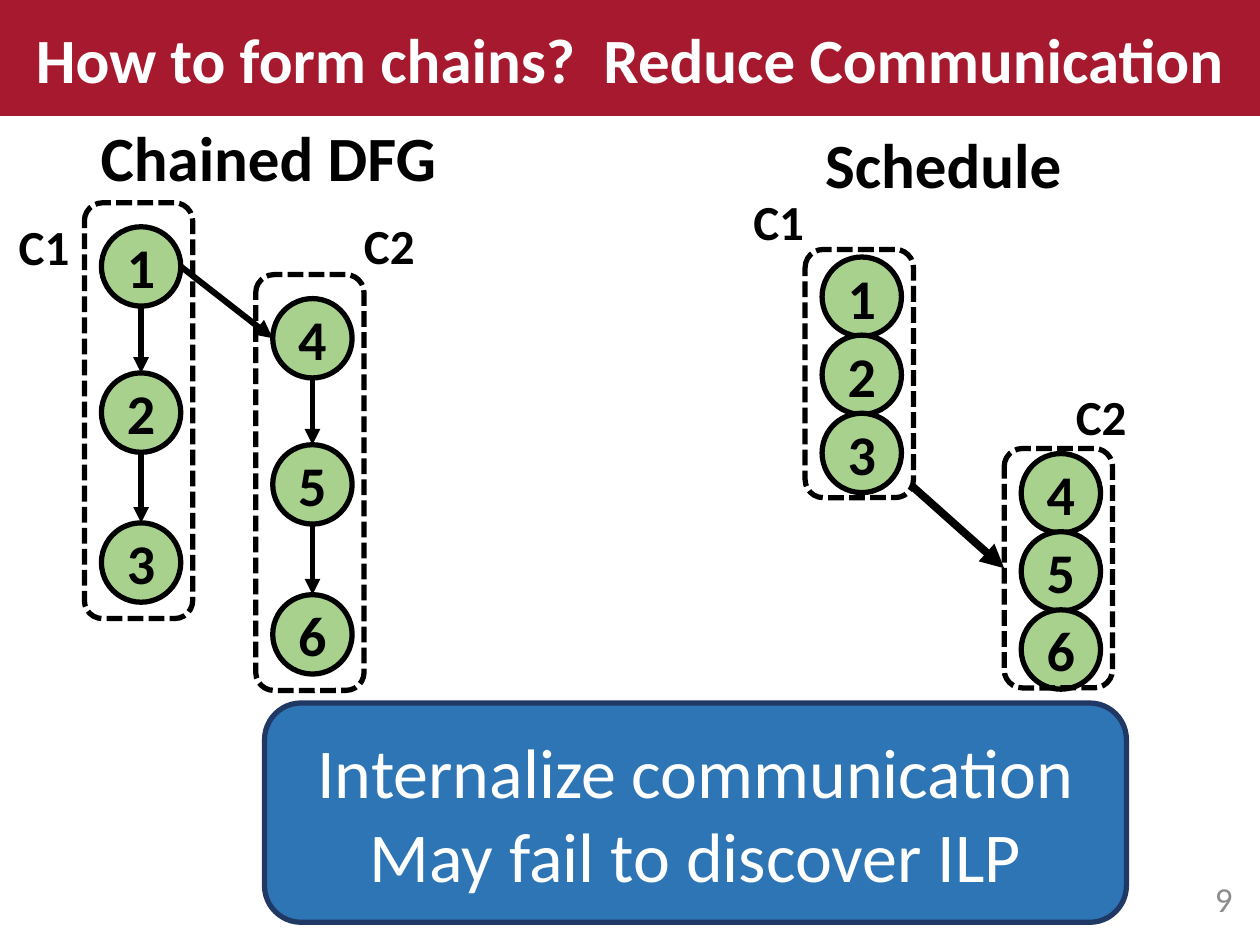
from pptx import Presentation
from pptx.dml.color import RGBColor
from pptx.enum.dml import MSO_LINE
from pptx.enum.shapes import MSO_CONNECTOR, MSO_SHAPE
from pptx.enum.text import MSO_ANCHOR, PP_ALIGN
from pptx.oxml.ns import qn
from pptx.util import Inches, Pt
from lxml import etree

RECT, ROUND, OVAL = MSO_SHAPE.RECTANGLE, MSO_SHAPE.ROUNDED_RECTANGLE, MSO_SHAPE.OVAL
LEFT, MID, RIGHT = PP_ALIGN.LEFT, PP_ALIGN.CENTER, PP_ALIGN.RIGHT
TOP, CENTER = MSO_ANCHOR.TOP, MSO_ANCHOR.MIDDLE
DASH = MSO_LINE.SQUARE_DOT
STRAIGHT = MSO_CONNECTOR.STRAIGHT

THEME = {
    "font": "Calibri", "red": "A6192E", "green": "A9D18E", "blue": "2E75B6",
    "navy": "203864", "black": "000000", "white": "FFFFFF", "gray": "8C8C8C",
    "head": 36, "note": 40, "node": 32, "chain": 28, "page": 20,
}

# Content
TITLE = "How to form chains?  Reduce Communication"
NOTE = ["Internalize communication", "May fail to discover ILP"]
PAGE = "9"
# text, box, size
LABELS = [
    ("Chained DFG", (0.7, 0.89, 2.89, 0.71), "head"),
    ("Schedule", (6.45, 0.95, 2.1, 0.71), "head"),
    ("C1", (0.05, 1.67, 0.61, 0.57), "chain"),
    ("C2", (2.79, 1.66, 0.61, 0.57), "chain"),
    ("C1", (5.88, 1.47, 0.61, 0.57), "chain"),
    ("C2", (8.44, 3.02, 0.71, 0.57), "chain"),
]
# Node steps down a chain: spread out in the graph, packed in the schedule
SPREAD, PACKED = (0, 1.16, 2.35), (0, 0.62, 1.24)
# names, frame box, top of first node, steps, arrows between nodes
CHAINS = [
    ("123", (0.67, 1.61, 0.86, 3.3), 1.8, SPREAD, True),
    ("456", (2.03, 2.18, 0.86, 3.3), 2.37, SPREAD, True),
    ("123", (6.39, 1.98, 0.86, 1.97), 2.04, PACKED, False),
    ("456", (7.97, 3.56, 0.86, 1.9), 3.6, PACKED, False),
]
NODE = 0.63

deck = Presentation()
deck.slide_width, deck.slide_height = Inches(10), Inches(7.5)
slide = deck.slides.add_slide(deck.slide_layouts[6])
shapes = slide.shapes


def color(name):
    return RGBColor.from_string(THEME[name])


def write(shape, lines, size, ink="black", bold=True, align=MID, anchor=CENTER):
    frame = shape.text_frame
    frame.vertical_anchor = anchor
    frame.text = "\n".join(lines)
    for para in frame.paragraphs:
        para.alignment = align
        font = para.font
        font.name, font.size, font.bold = THEME["font"], Pt(THEME[size]), bold
        font.color.rgb = color(ink)
    return frame


def draw(kind, box, fill=None, edge=None, dash=None):
    shape = shapes.add_shape(kind, *map(Inches, box))
    shape.shadow.inherit = False
    if fill:
        shape.fill.solid()
        shape.fill.fore_color.rgb = color(fill)
    else:
        shape.fill.background()
    if edge:
        shape.line.color.rgb = color(edge)
        shape.line.width = Pt(3)
        shape.line.dash_style = dash
    else:
        shape.line.fill.background()
    return shape


def label(text, box, size, wrap=False, **style):
    shape = shapes.add_textbox(*map(Inches, box))
    write(shape, [text], size, **style).word_wrap = wrap


def arrow(start, end, width=3):
    line = shapes.add_connector(STRAIGHT, *map(Inches, start + end))
    line.line.color.rgb = color("black")
    line.line.width = Pt(width)
    tip = etree.SubElement(line.line._get_or_add_ln(), qn("a:tailEnd"))
    tip.set("type", "triangle")
    etree.SubElement(line._element.spPr, qn("a:effectLst"))
    return line


def chain(names, box, top, steps, linked):
    """Draw one chain; return its frame and the tops of its nodes."""
    mid = box[0] + box[2] / 2 + 0.02
    tops = [top + step for step in steps]
    for name, y in zip(names, tops):
        node = draw(OVAL, (mid - NODE / 2, y, NODE, NODE), "green", "black")
        frame = write(node, [name], "node")
        frame.word_wrap = False
        frame.margin_left = frame.margin_right = 0
        frame.margin_top = frame.margin_bottom = 0
    if linked:
        for y, below in zip(tops, tops[1:]):
            arrow((mid, y + NODE), (mid, below))
    return draw(ROUND, box, edge="black", dash=DASH), mid, tops


# Title bar and page number
bar = draw(RECT, (0, 0, 10, 0.92), "red")
write(bar, [TITLE], "head", "white")
label(PAGE, (7.63, 6.93, 2.25, 0.4), "page", wrap=True, ink="gray",
      bold=False, align=RIGHT)

# Chains
built = [chain(*item) for item in CHAINS]

# Links from the first chain to the second, in the graph and the schedule
(_, mid1, tops1), (_, mid2, tops2) = built[:2]
arrow((mid1 + NODE / 2, tops1[0] + NODE / 2),
      (mid2 - NODE / 2, tops2[0] + NODE / 2), 3.5)
link = arrow((7.23, 3.85), (7.97, 4.51), 4.5)
link.end_connect(built[3][0], 1)

# Headings and chain names
for text, box, size in LABELS:
    label(text, box, size, align=LEFT, anchor=TOP)

# Takeaway
note = draw(ROUND, (2.1, 5.58, 6.84, 1.74), "blue", "navy")
write(note, NOTE, "note", "white", bold=False)

deck.save("out.pptx")
